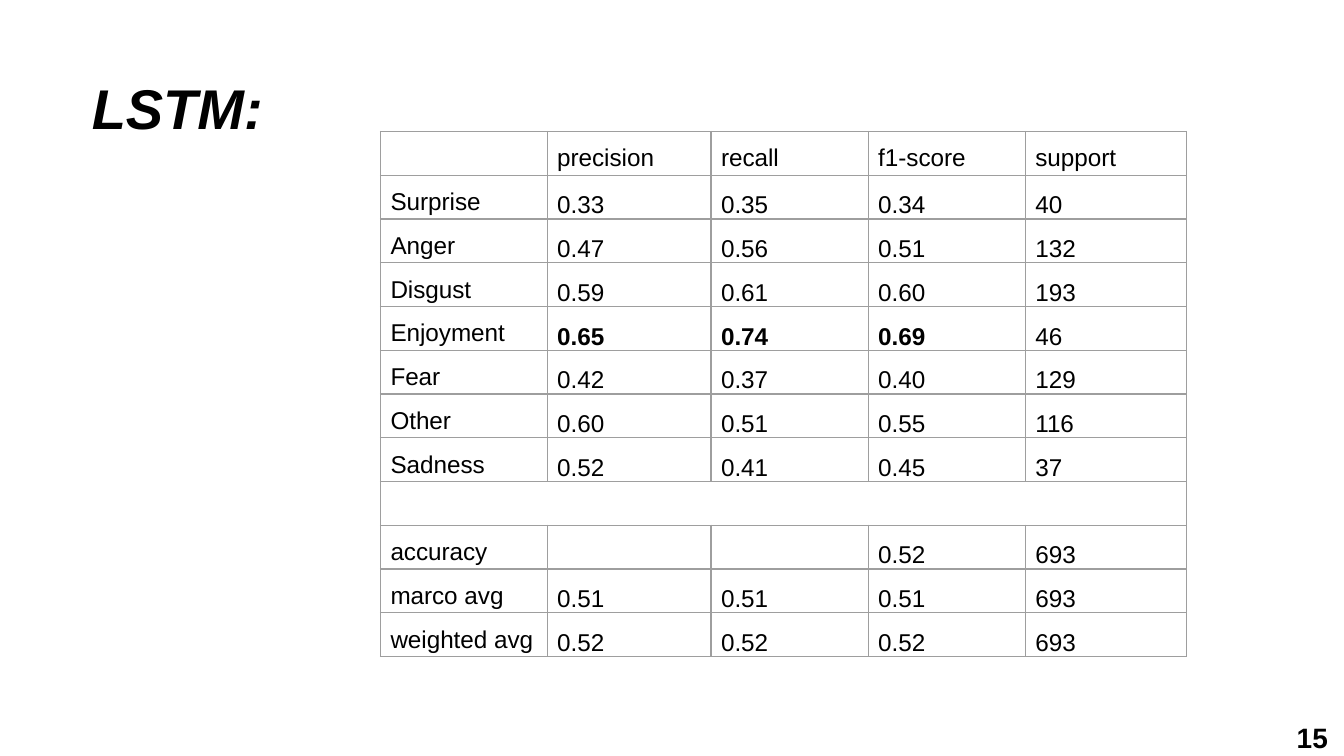
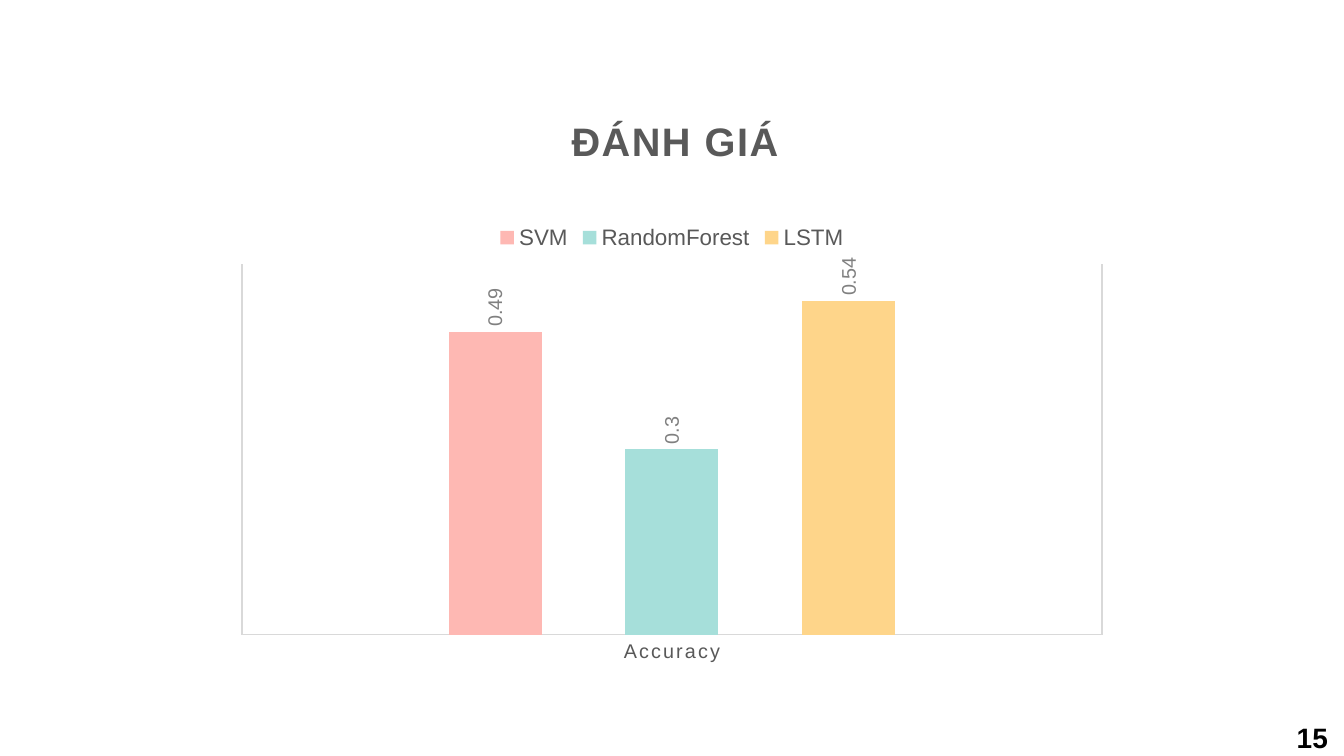
"""Build two slides: the LSTM score table and the accuracy comparison chart."""
from pptx import Presentation
from pptx.chart.data import CategoryChartData
from pptx.dml.color import RGBColor
from pptx.enum.chart import XL_CHART_TYPE as CHART, XL_LABEL_POSITION as LABEL
from pptx.enum.chart import XL_LEGEND_POSITION as LEGEND, XL_TICK_MARK as TICK
from pptx.enum.text import MSO_ANCHOR as ANCHOR, MSO_AUTO_SIZE as AUTO, PP_ALIGN as ALIGN
from pptx.oxml import parse_xml
from pptx.oxml.ns import nsdecls, qn
from pptx.util import Pt

BLACK = RGBColor(0x00, 0x00, 0x00)
DARK_GRAY = RGBColor(0x59, 0x59, 0x59)
LABEL_GRAY = RGBColor(0x80, 0x80, 0x80)
AXIS_GRAY = RGBColor(0xD9, 0xD9, 0xD9)
BORDER_GRAY = RGBColor(0x9E, 0x9E, 0x9E)
PINK = RGBColor(0xFE, 0xB8, 0xB3)
TEAL = RGBColor(0xA6, 0xDF, 0xDA)
AMBER = RGBColor(0xFE, 0xD5, 0x8A)
FONT = "Arial"


def set_font(font, size, color=BLACK, bold=False, italic=False):
    font.name, font.size, font.bold, font.italic = FONT, Pt(size), bold, italic
    font.color.rgb = color


def set_layout(element, index, inner=False, **fractions):
    for old in element.findall(qn("c:layout")):
        element.remove(old)
    target = '<c:layoutTarget val="inner"/>' if inner else ""
    modes = '<c:xMode val="edge"/><c:yMode val="edge"/>'
    values = "".join(f'<c:{k} val="{v}"/>' for k, v in fractions.items())
    element.insert(index, parse_xml(
        f'<c:layout {nsdecls("c")}><c:manualLayout>{target}{modes}{values}'
        "</c:manualLayout></c:layout>"))


prs = Presentation()
prs.slide_width, prs.slide_height = Pt(720), Pt(405)
table_slide, chart_slide = [prs.slides.add_slide(prs.slide_layouts[6]) for _ in range(2)]

tf = table_slide.shapes.add_textbox(Pt(1.5), Pt(0), Pt(187), Pt(115)).text_frame
tf.word_wrap = True
tf.vertical_anchor = ANCHOR.MIDDLE
p = tf.paragraphs[0]
p.text = "LSTM:"
p.alignment = ALIGN.CENTER
set_font(p.font, 30, bold=True, italic=True)

for s in (table_slide, chart_slide):
    tf = s.shapes.add_textbox(Pt(687.6), Pt(382.3), Pt(31.5), Pt(25)).text_frame
    tf.word_wrap = False
    tf.auto_size = AUTO.SHAPE_TO_FIT_TEXT
    p = tf.paragraphs[0]
    p.text = "15"
    set_font(p.font, 15, bold=True)

scores = [
    ("", "precision", "recall", "f1-score", "support"),
    ("Surprise", "0.33", "0.35", "0.34", "40"),
    ("Anger", "0.47", "0.56", "0.51", "132"),
    ("Disgust", "0.59", "0.61", "0.60", "193"),
    ("Enjoyment", "0.65", "0.74", "0.69", "46"),
    ("Fear", "0.42", "0.37", "0.40", "129"),
    ("Other", "0.60", "0.51", "0.55", "116"),
    ("Sadness", "0.52", "0.41", "0.45", "37"),
    ("", "", "", "", ""),
    ("accuracy", "", "", "0.52", "693"),
    ("marco avg", "0.51", "0.51", "0.51", "693"),
    ("weighted avg", "0.52", "0.52", "0.52", "693"),
]
col_widths = (89.3, 87.8, 84.2, 84.2, 86.4)
row_height = 23.45
table = table_slide.shapes.add_table(
    len(scores), len(col_widths), Pt(203.8), Pt(70.4),
    Pt(sum(col_widths)), Pt(row_height * len(scores))).table
table.first_row = table.horz_banding = False
for col, width in zip(table.columns, col_widths):
    col.width = Pt(width)
for i, values in enumerate(scores):
    table.rows[i].height = Pt(row_height)
    for j, value in enumerate(values):
        cell = table.cell(i, j)
        cell.fill.background()
        cell.margin_left = cell.margin_right = Pt(5.4)
        cell.margin_top = cell.margin_bottom = Pt(0)
        cell.vertical_anchor = ANCHOR.BOTTOM if i and j else ANCHOR.TOP
        tc_pr = cell._tc.get_or_add_tcPr()
        for k, side in enumerate("LRTB"):
            tc_pr.insert(k, parse_xml(
                f'<a:ln{side} {nsdecls("a")} w="{Pt(0.75)}"><a:solidFill>'
                f'<a:srgbClr val="{BORDER_GRAY}"/></a:solidFill></a:ln{side}>'))
        if value:
            p = cell.text_frame.paragraphs[0]
            p.text = value
            p.alignment = ALIGN.JUSTIFY
            p.line_spacing = 1.5
            set_font(p.font, 13, bold=values[0] == "Enjoyment" and 0 < j < 4)
    if not any(values):
        table.cell(i, 0).merge(table.cell(i, len(col_widths) - 1))

accuracies = (("SVM", 0.49, PINK), ("RandomForest", 0.3, TEAL), ("LSTM", 0.54, AMBER))
data = CategoryChartData()
data.categories = ["Accuracy"]
for name, value, _ in accuracies:
    data.add_series(name, [value])
chart = chart_slide.shapes.add_chart(
    CHART.COLUMN_CLUSTERED, Pt(120), Pt(42.5), Pt(480), Pt(320), data).chart
set_font(chart.font, 10)

tf = chart.chart_title.text_frame
p = tf.paragraphs[0]
p.text = "ĐÁNH GIÁ"
set_font(p.font, 21.3, DARK_GRAY, bold=True)
p.font._element.set("spc", "100")
set_layout(chart.chart_title._element, 1, x=0.38, y=0.05)

chart.has_legend = True
chart.legend.position = LEGEND.TOP
chart.legend.include_in_layout = False
set_font(chart.legend.font, 12, DARK_GRAY)
set_layout(chart.legend._element, 1, x=0.3, y=0.24, w=0.4, h=0.05)

plot = chart.plots[0]
plot.gap_width, plot.overlap, plot.vary_by_categories = 444, -90, False
set_layout(plot._element.getparent(), 0, inner=True, x=0.02, y=0.31, w=0.96, h=0.62)
for series, (_, _, color) in zip(plot.series, accuracies):
    series.format.fill.solid()
    series.format.fill.fore_color.rgb = color
    labels = series.data_labels
    labels.show_value = True
    labels.position = LABEL.OUTSIDE_END
    set_font(labels.font, 10.6, LABEL_GRAY)
    body = labels._element.find(".//" + qn("a:bodyPr"))
    body.set("rot", "-5400000")
    body.set("vert", "horz")

axis = chart.category_axis
axis.major_tick_mark = axis.minor_tick_mark = TICK.NONE
axis.has_major_gridlines = True
for line in (axis.format.line, axis.major_gridlines.format.line):
    line.color.rgb = AXIS_GRAY
    line.width = Pt(0.75)
set_font(axis.tick_labels.font, 10.6, DARK_GRAY)
axis.tick_labels.font._element.set("spc", "120")
axis = chart.value_axis
axis.visible = axis.has_major_gridlines = False
axis.minimum_scale, axis.maximum_scale = 0, 0.6

prs.save("out.pptx")
